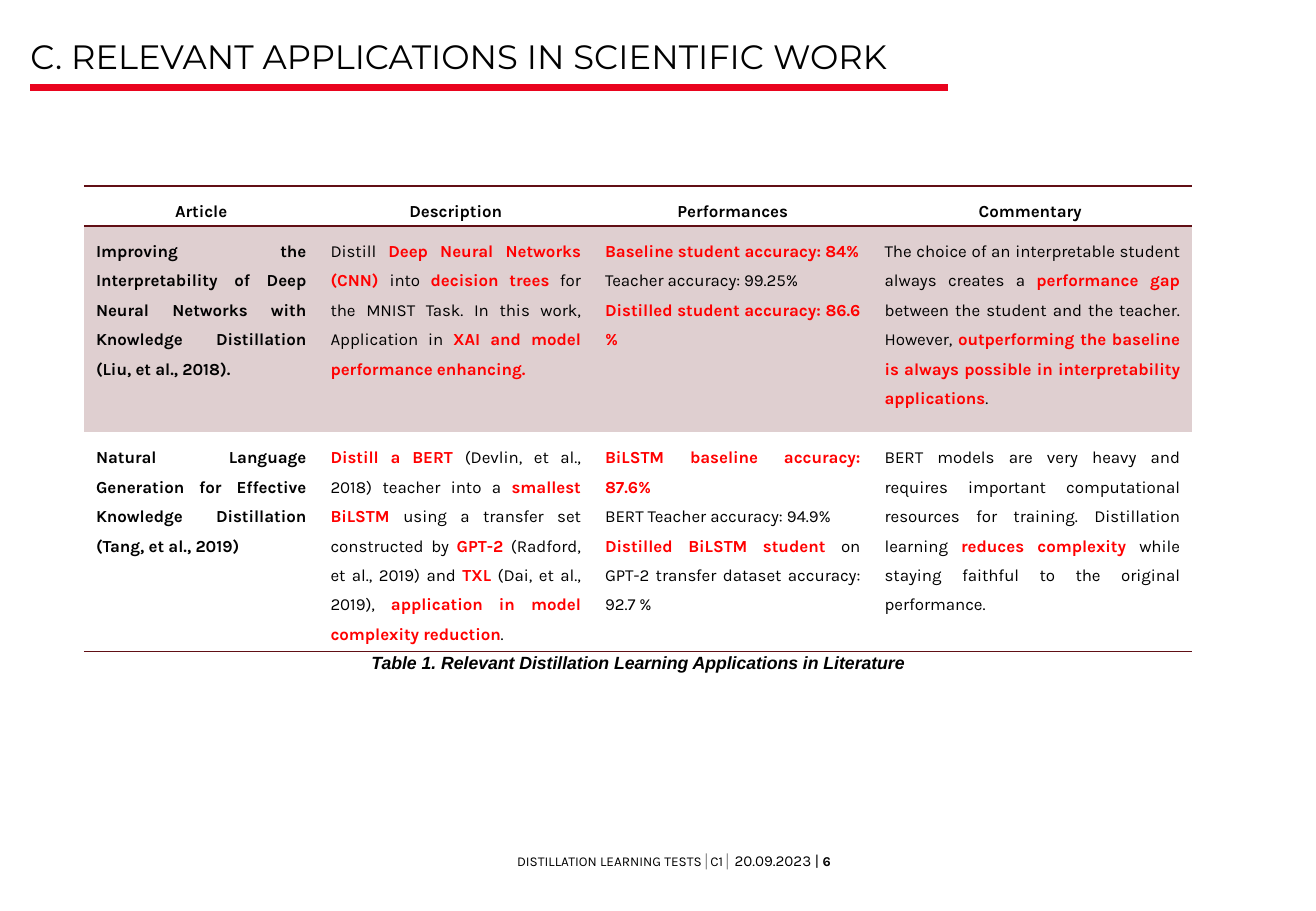
"""Build the slide on relevant distillation learning applications."""
import pptx
import pptx.dml.color
import pptx.enum.shapes
import pptx.enum.text
import pptx.oxml
import pptx.oxml.ns
import pptx.util

Inches, Pt = pptx.util.Inches, pptx.util.Pt
ALIGN = pptx.enum.text.PP_ALIGN
ANCHOR = pptx.enum.text.MSO_ANCHOR
BLACK, RED, MAROON, GREY = "010101", "FF0000", "610F15", "808080"


def color(value):
    """Turn a hex string into a colour."""
    return pptx.dml.color.RGBColor.from_string(value)


def add_text(left, top, width, height, margin, anchor, align, runs):
    """Add a one-line text box; runs are (text, font, size, colour, bold)."""
    tf = slide.shapes.add_textbox(Inches(left), Inches(top), Inches(width), Inches(height)).text_frame
    tf.word_wrap = True
    tf.vertical_anchor = anchor
    tf.margin_left = tf.margin_right = tf.margin_top = tf.margin_bottom = Inches(margin)
    p = tf.paragraphs[0]
    p.alignment = align
    for text, font, size, shade, bold in runs:
        r = p.add_run()
        r.text = text
        r.font.name, r.font.size, r.font.bold = font, Pt(size), bold
        r.font.color.rgb = color(shade)
    return p


prs = pptx.Presentation()
prs.slide_width, prs.slide_height = Inches(10.83), Inches(7.5)
slide = prs.slides.add_slide(prs.slide_layouts[6])

add_text(3.99, 7.01, 3.14, 0.15, 0, ANCHOR.MIDDLE, ALIGN.CENTER, [
    ("DISTILLATION LEARNING TESTS", "Karla", 8, BLACK, False),
    ("│", "Karla", 8, GREY, False),
    ("C1", "Karla", 8, BLACK, False),
    ("│ ", "Karla", 8, GREY, False),
    ("20.09.2023 |", "Karla", 9, BLACK, False),
    (" 6 ", "Karla", 8, BLACK, True),
])
title = add_text(0.25, 0.36, 10.12, 0.26, 0, ANCHOR.BOTTOM, ALIGN.LEFT, [
    ("C. RELEVANT APPLICATIONS IN SCIENTIFIC WORK", "Montserrat", 20, BLACK, False)])
title.line_spacing = 0.75

rule = slide.shapes.add_connector(
    pptx.enum.shapes.MSO_CONNECTOR.STRAIGHT, Inches(0.25), Inches(0.72), Inches(7.8), Inches(0.72))
rule.line.color.rgb = color("E9041E")
rule.line.width = Pt(4.5)
rule._element.spPr.append(pptx.oxml.parse_xml(f'<a:effectLst {pptx.oxml.ns.nsdecls("a")}/>'))

rows = [
    [["Article"], ["Description"], ["Performances"], ["Commentary "]],
    [
        ["Improving the Interpretability of Deep Neural Networks with Knowledge Distillation "
         "(Liu, et al., 2018)."],
        ["Distill *Deep Neural Networks (CNN) *into *decision trees* for the MNIST Task. In this work, "
         "Application in *XAI and model performance enhancing. *"],
        ["*Baseline student accuracy: 84%*", "Teacher accuracy: 99.25%",
         "*Distilled student accuracy: 86.6 %*"],
        ["The choice of an interpretable student always creates a *performance gap* between the student "
         "and the teacher. However, *outperforming the baseline is always possible in interpretability "
         "applications*. "],
    ],
    [
        ["Natural Language Generation for Effective Knowledge Distillation (Tang, et al., 2019)"],
        ["*Distill a BERT *(Devlin, et al., 2018) teacher into a *smallest BiLSTM *using a transfer set "
         "constructed by *GPT-2* (Radford, et al., 2019) and *TXL* (Dai, et al., 2019), "
         "*application in model complexity reduction*. "],
        ["*BiLSTM baseline accuracy: 87.6%*", "BERT Teacher accuracy: 94.9%",
         "*Distilled BiLSTM student *on GPT-2 transfer dataset accuracy: 92.7 %"],
        ["BERT models are very heavy and requires important computational resources for training. "
         "Distillation learning *reduces complexity *while staying faithful to the original performance."],
    ],
]
edges = [["lnT", "lnB"], [], ["lnB"]]

table = slide.shapes.add_table(3, 4, Inches(0.69), Inches(1.53), Inches(9.12), Inches(3.83)).table
table.first_row = table.horz_banding = False
style = table._tbl.tblPr.find(pptx.oxml.ns.qn("a:tableStyleId"))
style.text = "{2D5ABB26-0587-4C30-8999-92F81FD0307C}"
for column, width in zip(table.columns, [1.93, 2.26, 2.3, 2.63]):
    column.width = Inches(width)
for row, height in zip(table.rows, [0.33, 1.7, 1.8]):
    row.height = Inches(height)

for i, row in enumerate(rows):
    for j, paragraphs in enumerate(row):
        cell = table.cell(i, j)
        cell.margin_bottom = 0
        for edge in edges[i]:
            cell._tc.get_or_add_tcPr().append(pptx.oxml.parse_xml(
                f'<a:{edge} {pptx.oxml.ns.nsdecls("a")} w="12700"><a:solidFill>'
                f'<a:srgbClr val="{MAROON}"/></a:solidFill></a:{edge}>'))
        if i == 1:
            cell.fill.solid()
            cell.fill.fore_color.rgb = color("DFCFD0")
        else:
            cell.fill.background()
        for n, text in enumerate(paragraphs):
            p = cell.text_frame.paragraphs[0] if n == 0 else cell.text_frame.add_paragraph()
            p.alignment = ALIGN.CENTER if i == 0 else ALIGN.JUSTIFY
            p.line_spacing = 1.5
            p.font.name, p.font.size = "Karla", Pt(10)
            for k, part in enumerate(text.split("*")):
                if part:
                    r = p.add_run()
                    r.text = part
                    r.font.bold = k % 2 == 1 or i == 0 or j == 0
                    r.font.color.rgb = color(RED if k % 2 else BLACK)

caption = add_text(2.99, 5.33, 4.53, 0.26, 0.04, ANCHOR.TOP, ALIGN.CENTER, [
    ("Table 1. Relevant Distillation Learning Applications in Literature", "Arial", 10.5, BLACK, True)])
caption.font.italic = True

prs.save("out.pptx")
